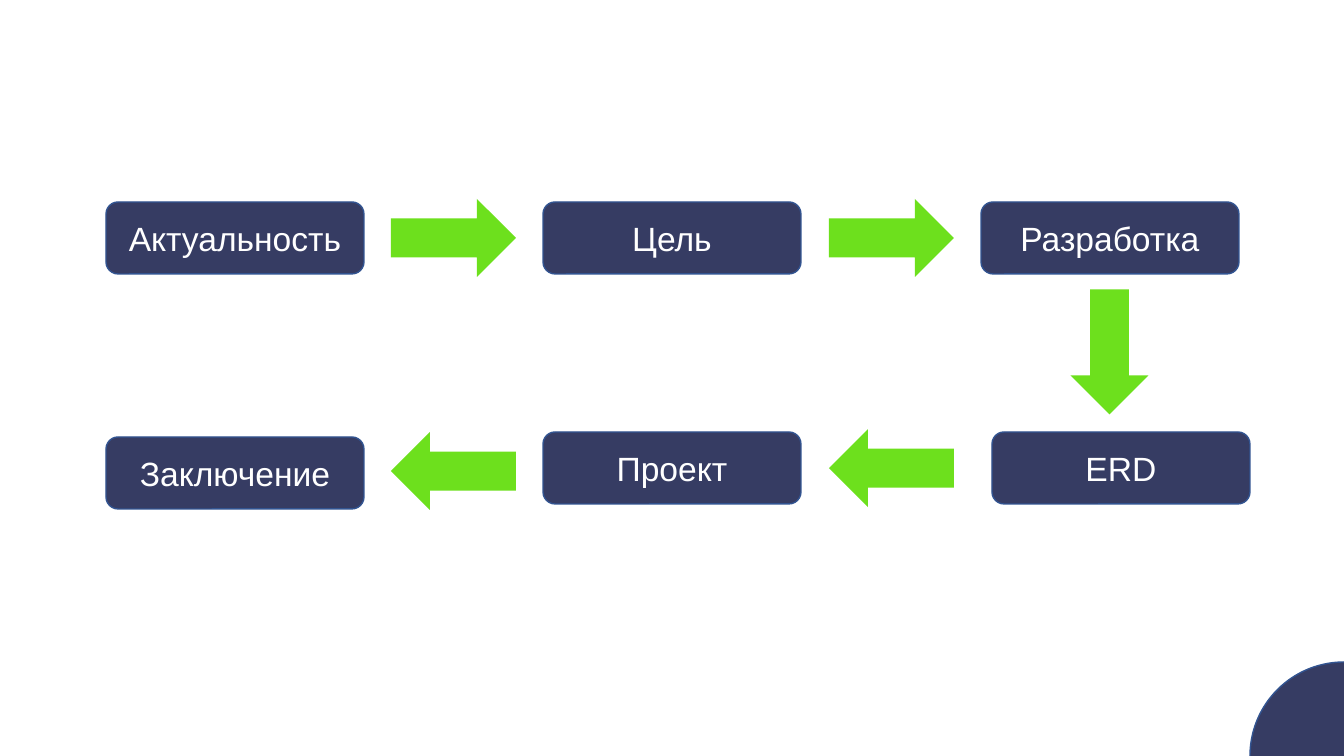
from pptx import Presentation
from pptx.dml.color import RGBColor
from pptx.enum.shapes import MSO_SHAPE as Shape
from pptx.enum.text import MSO_ANCHOR as Anchor, PP_ALIGN as Align
from pptx.util import Pt

EMU_PER_PX = 12192000 / 1344
COLORS = {"navy": "363C63", "outline": "325491", "green": "6DE01D", "white": "FFFFFF"}
BOX_SIZE = (258, 72)
ARROW_SIZE = (125, 78)

# Steps in reading order: text, left, top
STEPS = [
    ("Актуальность", 106, 202),
    ("Цель", 543, 202),
    ("Разработка", 981, 202),
    ("ERD", 992, 432),
    ("Проект", 543, 432),
    ("Заключение", 106, 437),
]

# Arrows between the steps: left, top, rotation
ARROWS = [
    (391, 199, 0),
    (829, 199, 0),
    (1047, 313, 90),
    (829, 429, 180),
    (391, 432, 180),
]


def px(length):
    return round(length * EMU_PER_PX)


def color(name):
    return RGBColor.from_string(COLORS[name])


def add_figure(page, kind, left, top, size, fill, outline=None):
    width, height = size
    figure = page.shapes.add_shape(kind, px(left), px(top), px(width), px(height))
    figure.shadow.inherit = False
    figure.fill.solid()
    figure.fill.fore_color.rgb = color(fill)
    if outline:
        figure.line.color.rgb = color(outline)
        figure.line.width = Pt(1)
    else:
        figure.line.fill.background()
    return figure


def add_step(page, text, left, top):
    box = add_figure(page, Shape.FLOWCHART_ALTERNATE_PROCESS, left, top,
                     BOX_SIZE, "navy", "outline")
    frame = box.text_frame
    frame.word_wrap = True
    frame.vertical_anchor = Anchor.MIDDLE
    para = frame.paragraphs[0]
    para.text = text
    para.alignment = Align.CENTER
    para.font.name = "Arial"
    para.font.size = Pt(24)
    para.font.color.rgb = color("white")


def add_arrow(page, left, top, rotation):
    arrow = add_figure(page, Shape.RIGHT_ARROW, left, top, ARROW_SIZE, "green")
    arrow.rotation = rotation


def main():
    deck = Presentation()
    deck.slide_width, deck.slide_height = px(1344), px(756)
    page = deck.slides.add_slide(deck.slide_layouts[6])

    # Corner circle
    add_figure(page, Shape.OVAL, 1250, 662, (188, 188), "navy", "outline")

    # Flow of steps
    for step in STEPS:
        add_step(page, *step)
    for arrow in ARROWS:
        add_arrow(page, *arrow)

    deck.save("out.pptx")


if __name__ == "__main__":
    main()
